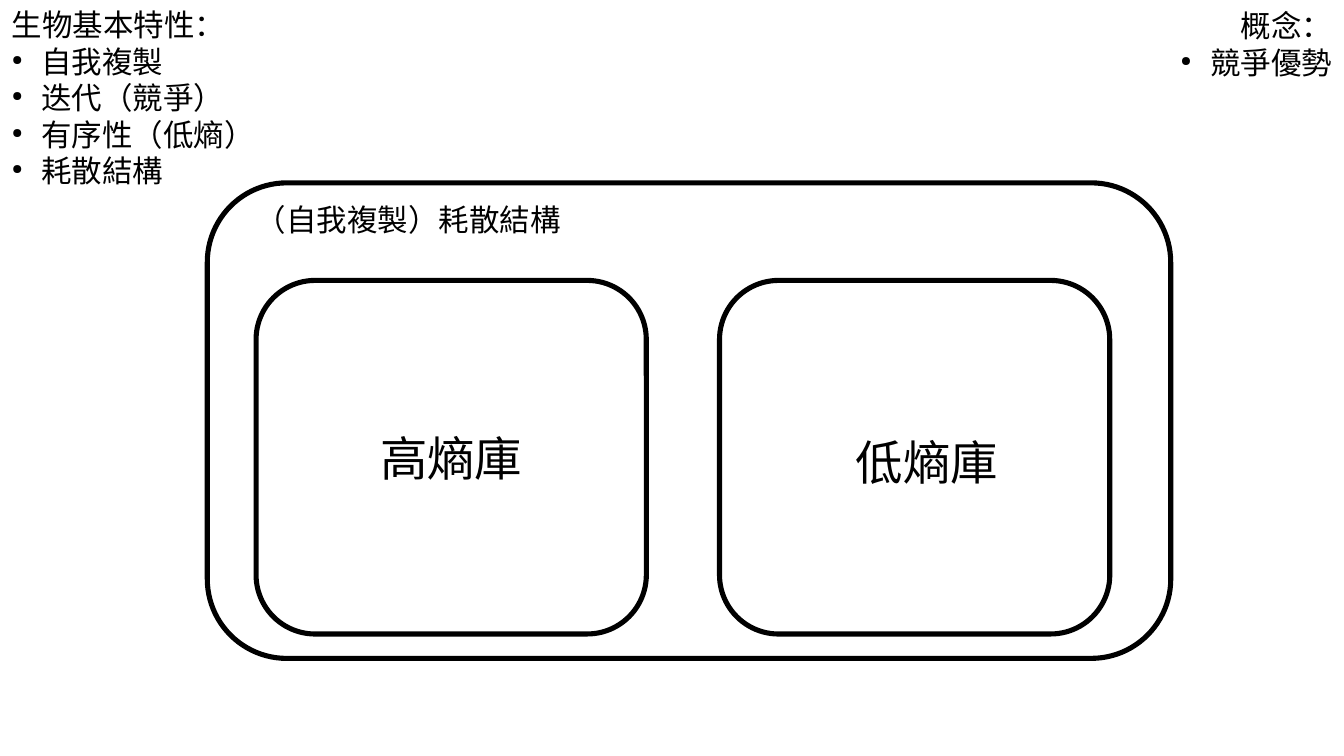
"""Build the slide on the dissipative structure with its two entropy reservoirs."""
from dataclasses import dataclass

from lxml.etree import SubElement
from pptx import Presentation
from pptx.dml.color import RGBColor
from pptx.enum.shapes import MSO_SHAPE as Preset
from pptx.enum.text import MSO_AUTO_SIZE as AutoSize, PP_ALIGN as Align
from pptx.oxml.ns import qn
from pptx.slide import Slide
from pptx.util import Inches, Pt

BLACK = RGBColor(0x00, 0x00, 0x00)
WHITE = RGBColor(0xFF, 0xFF, 0xFF)
CORNER = 0.167


@dataclass
class Frame:
    left: float
    top: float
    width: float
    height: float


@dataclass
class Label:
    left: float
    top: float
    width: float
    height: float
    heading: str
    bullets: tuple[str, ...] = ()
    align: Align = Align.LEFT
    size: int = 18


FRAMES = [
    Frame(1.7, 1.5, 7.9, 3.9),
    *(Frame(left, 2.3, 3.2, 2.9) for left in (2.1, 5.9)),
]
LABELS = [
    Label(0, 0, 2.6, 1.91, "生物基本特性：",
          ("自我複製", "迭代（競爭）", "有序性（低熵）", "耗散結構")),
    Label(8.42, 0.01, 2.6, 1.09, "概念：", ("競爭優勢",), Align.RIGHT),
    Label(2, 1.6, 3, 0.46, "（自我複製）耗散結構"),
    Label(2.2, 3.47, 3, 0.66, "高熵庫", align=Align.CENTER, size=28),
    Label(6.1, 3.5, 3, 0.66, "低熵庫", align=Align.CENTER, size=28),
]


def place(item: Frame | Label) -> tuple[Inches, ...]:
    """Return the position and size of an item as lengths."""
    return tuple(Inches(n) for n in (item.left, item.top, item.width, item.height))


def draw_frame(slide: Slide, frame: Frame) -> None:
    """Draw a white rounded rectangle with a black outline."""
    shape = slide.shapes.add_shape(Preset.ROUNDED_RECTANGLE, *place(frame))
    shape.adjustments[0] = CORNER
    shape.shadow.inherit = False
    shape.fill.solid()
    shape.fill.fore_color.rgb = WHITE
    shape.line.color.rgb = BLACK
    shape.line.width = Pt(3)


def add_bullet(paragraph) -> None:
    """Give a paragraph a small black bullet and a hanging indent."""
    properties = paragraph._p.get_or_add_pPr()
    indent = Inches(0.24)
    properties.set("marL", str(indent))
    properties.set("indent", str(-indent))
    color = SubElement(properties, qn("a:buClr"))
    SubElement(color, qn("a:srgbClr"), val=str(BLACK))
    SubElement(properties, qn("a:buSzPct"), val="45000")
    SubElement(properties, qn("a:buChar"), char="●")


def draw_label(slide: Slide, label: Label) -> None:
    """Write a heading and its bulleted lines in a text box."""
    text_frame = slide.shapes.add_textbox(*place(label)).text_frame
    text_frame.word_wrap = True
    text_frame.auto_size = AutoSize.SHAPE_TO_FIT_TEXT
    text_frame.text = "\n".join((label.heading, *label.bullets))
    font_format = {"name": "Arial", "size": Pt(label.size)}
    for index, paragraph in enumerate(text_frame.paragraphs):
        paragraph.alignment = label.align
        if index:
            add_bullet(paragraph)
        for run in paragraph.runs:
            for name, value in font_format.items():
                setattr(run.font, name, value)
            run.font.color.rgb = BLACK


def main() -> None:
    """Assemble the slide and save it."""
    presentation = Presentation()
    presentation.slide_width = Inches(11.02)
    presentation.slide_height = Inches(6.2)
    slide = presentation.slides.add_slide(presentation.slide_layouts[6])
    for frame in FRAMES:
        draw_frame(slide, frame)
    for label in LABELS:
        draw_label(slide, label)
    presentation.save("out.pptx")


if __name__ == "__main__":
    main()
